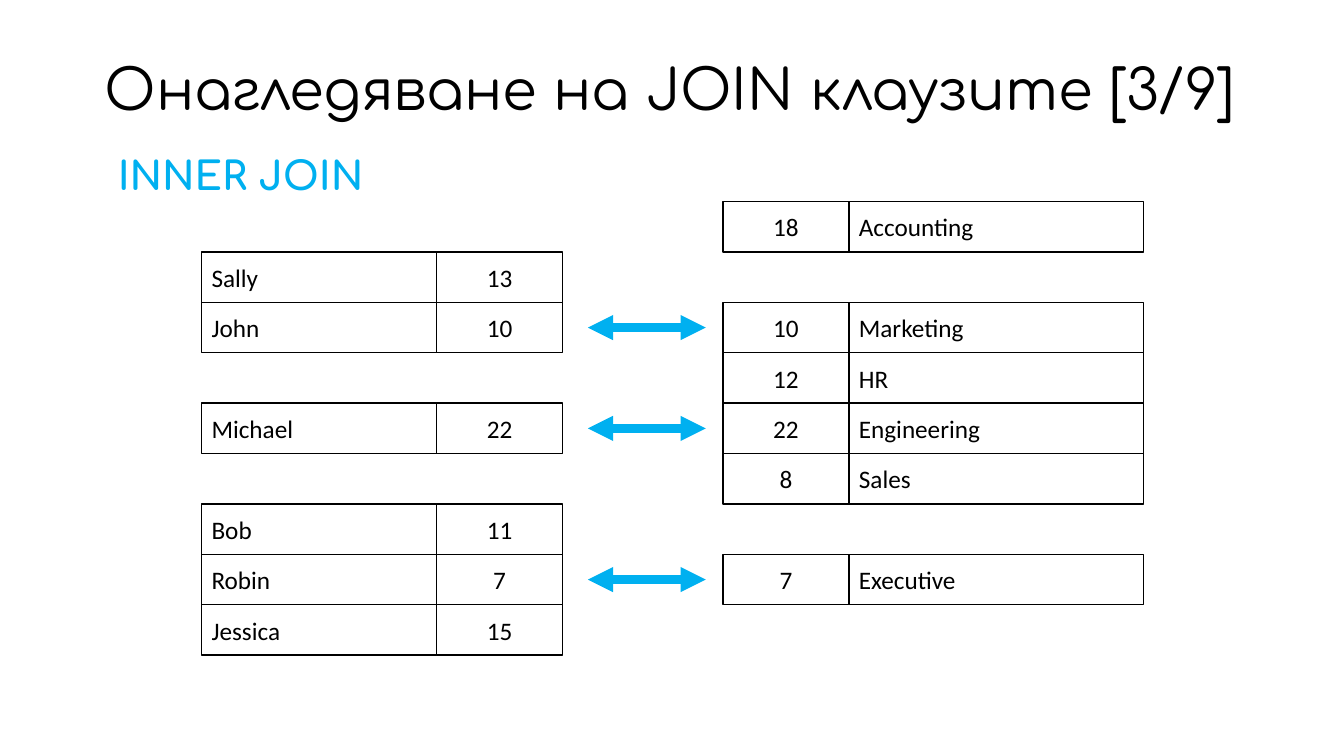
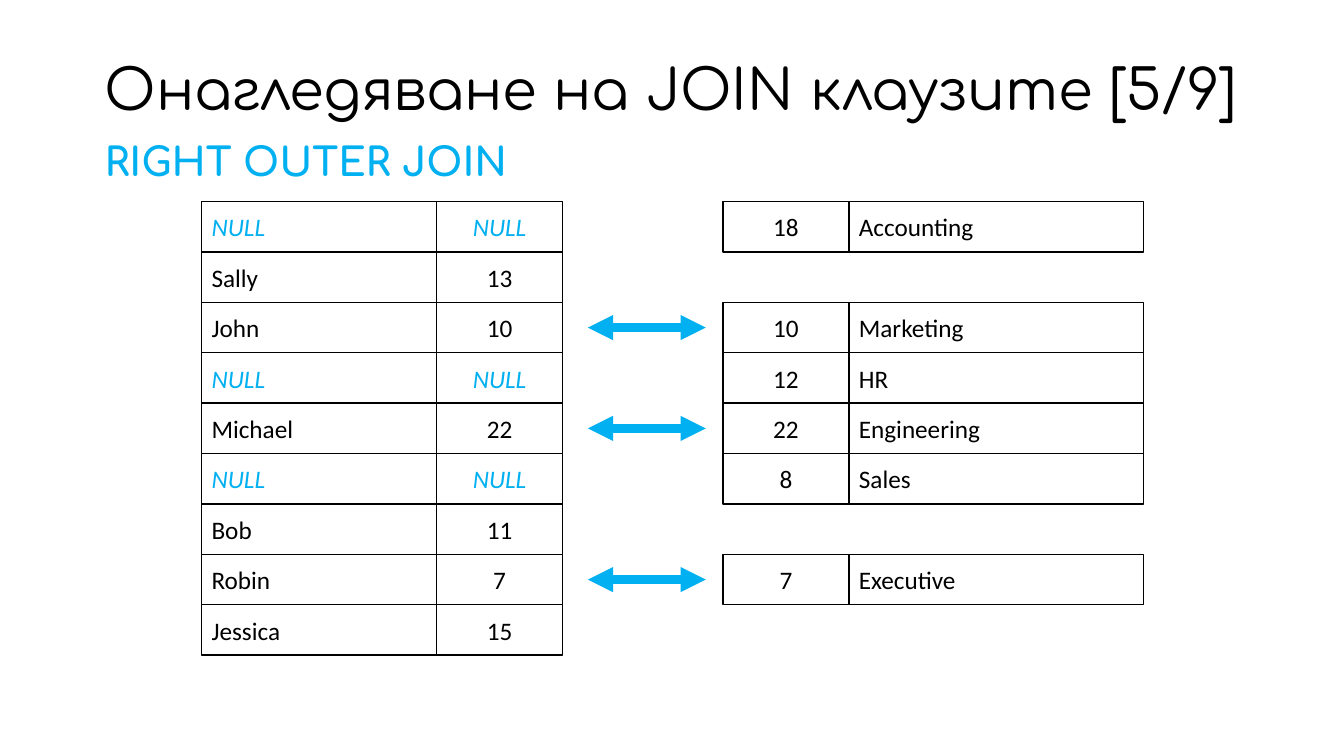
"""Build two slides that show how SQL JOIN clauses match rows."""
from dataclasses import dataclass

from lxml import etree
from pptx import Presentation
from pptx.dml.color import RGBColor
from pptx.enum import shapes, text
from pptx.oxml.ns import qn
from pptx.util import Inches, Pt

TITLE = "Онагледяване на JOIN клаузите [{}/9]"
EMPLOYEES = [
    None, ("Sally", "13"), ("John", "10"), None, ("Michael", "22"),
    None, ("Bob", "11"), ("Robin", "7"), ("Jessica", "15"),
]
DEPARTMENTS = [
    ("18", "Accounting"), None, ("10", "Marketing"), ("12", "HR"),
    ("22", "Engineering"), ("8", "Sales"), None, ("7", "Executive"), None,
]
SLIDES = [
    {"number": 3, "join": "INNER JOIN", "join_at": (1.07, 1.5), "nulls": False},
    {"number": 5, "join": "RIGHT OUTER JOIN", "join_at": (0.94, 1.37), "nulls": True},
]


@dataclass(frozen=True)
class Theme:
    """Colours, fonts and type sizes of the deck."""
    ink: RGBColor = RGBColor(0, 0, 0)
    accent: RGBColor = RGBColor(0x00, 0xB0, 0xF0)
    heading_font: str = "Comfortaa"
    cell_font: str = "Calibri"
    title_size: int = 40
    join_size: int = 28
    cell_size: int = 18
    border: int = 1
    arrow: int = 6


THEME = Theme()
WIDTH, HEIGHT = 13.33, 7.5
TOP, ROW = 2, 0.5
KEY_WIDTH, EMPLOYEE_WIDTH, DEPARTMENT_WIDTH = 1.25, 2.33, 2.92
EMPLOYEE_LEFT, DEPARTMENT_LEFT = 2, 7.17
EMPLOYEE_COLUMNS = [
    (EMPLOYEE_LEFT, EMPLOYEE_WIDTH, text.PP_ALIGN.LEFT),
    (EMPLOYEE_LEFT + EMPLOYEE_WIDTH, KEY_WIDTH, text.PP_ALIGN.CENTER),
]
DEPARTMENT_COLUMNS = [
    (DEPARTMENT_LEFT, KEY_WIDTH, text.PP_ALIGN.CENTER),
    (DEPARTMENT_LEFT + KEY_WIDTH, DEPARTMENT_WIDTH, text.PP_ALIGN.LEFT),
]
ARROW_LEFT, ARROW_RIGHT = 5.83, 7
TITLE_AREA = (0.94, 0.19, 11.89, 1.45)
JOIN_SIZE = (5.74, 0.68)


def write(shape, words, font, size, color, bold=None, italic=None):
    """Put one styled paragraph in a shape and return the paragraph."""
    frame = shape.text_frame
    frame.word_wrap = True
    frame.text = words
    para = frame.paragraphs[0]
    span = para.runs[0].font
    span.name, span.size, span.bold, span.italic = font, Pt(size), bold, italic
    span.color.rgb = color
    return para


def add_heading(page, words, area, size, color, anchor, bold=None):
    """Add a heading text box."""
    box = page.shapes.add_textbox(*map(Inches, area))
    box.text_frame.vertical_anchor = anchor
    para = write(box, words, THEME.heading_font, size, color, bold)
    para.line_spacing = 0.9


def add_record(page, row, columns, values):
    """Add one bordered record; without values its cells read NULL."""
    missing = values is None
    color = THEME.accent if missing else THEME.ink
    for (left, width, align), words in zip(columns, values or ["NULL"] * len(columns)):
        area = (left, TOP + row * ROW, width, ROW)
        cell = page.shapes.add_shape(shapes.MSO_SHAPE.RECTANGLE, *map(Inches, area))
        cell.shadow.inherit = False
        cell.fill.background()
        cell.line.color.rgb = THEME.ink
        cell.line.width = Pt(THEME.border)
        cell.text_frame.vertical_anchor = text.MSO_ANCHOR.MIDDLE
        para = write(cell, words, THEME.cell_font, THEME.cell_size, color,
                     italic=missing or None)
        para.alignment = align


def add_match(page, row):
    """Add a double-headed arrow between the two records of a row."""
    middle = TOP + (row + 0.5) * ROW
    ends = (ARROW_LEFT, middle, ARROW_RIGHT, middle)
    arrow = page.shapes.add_connector(shapes.MSO_CONNECTOR.STRAIGHT, *map(Inches, ends))
    arrow.line.color.rgb = THEME.accent
    arrow.line.width = Pt(THEME.arrow)
    outline = arrow.line._get_or_add_ln()
    for end in ("a:headEnd", "a:tailEnd"):
        etree.SubElement(outline, qn(end), type="triangle")
    etree.SubElement(arrow._element.spPr, qn("a:effectLst"))


def build_slide(deck, number, join, join_at, nulls):
    """Add one slide with its headings, records and matches."""
    page = deck.slides.add_slide(deck.slide_layouts[6])
    add_heading(page, TITLE.format(number), TITLE_AREA, THEME.title_size,
                THEME.ink, text.MSO_ANCHOR.MIDDLE)
    add_heading(page, join, join_at + JOIN_SIZE, THEME.join_size,
                THEME.accent, text.MSO_ANCHOR.TOP, bold=True)
    for row, (employee, department) in enumerate(zip(EMPLOYEES, DEPARTMENTS)):
        if employee or nulls:
            add_record(page, row, EMPLOYEE_COLUMNS, employee)
        if department:
            add_record(page, row, DEPARTMENT_COLUMNS, department)
        if employee and department and employee[1] == department[0]:
            add_match(page, row)


def main():
    """Build and save the deck."""
    deck = Presentation()
    deck.slide_width, deck.slide_height = Inches(WIDTH), Inches(HEIGHT)
    for content in SLIDES:
        build_slide(deck, **content)
    deck.save("out.pptx")


if __name__ == "__main__":
    main()
